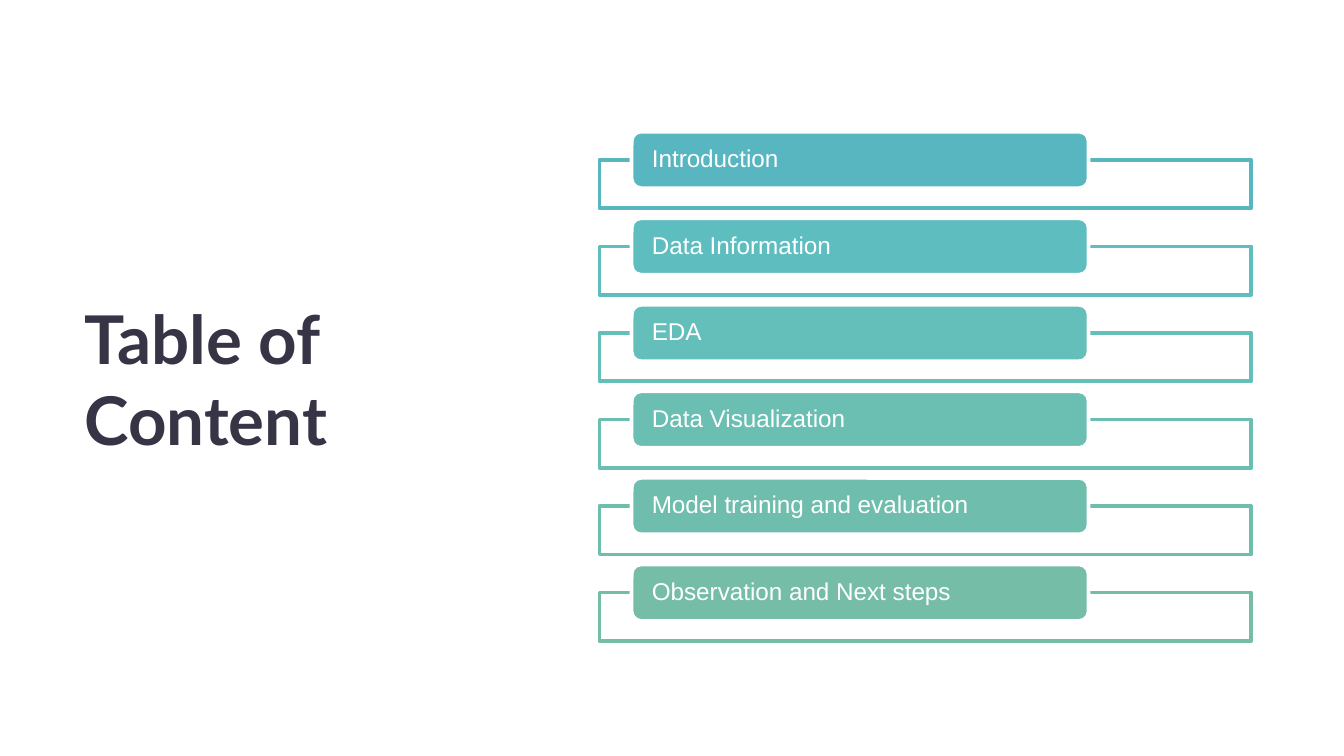
from pptx import Presentation
from pptx.dml.color import RGBColor
from pptx.enum.shapes import MSO_SHAPE as Shape
from pptx.enum.text import MSO_ANCHOR as Anchor, PP_ALIGN as Align
from pptx.util import Inches, Pt

COLORS = {"title": "373545", "white": "FFFFFF"}
SECTIONS = {
    "Introduction": "58B6C0",
    "Data Information": "5EBEBF",
    "EDA": "64BEB9",
    "Data Visualization": "6ABEB2",
    "Model training and evaluation": "6FBDAC",
    "Observation and Next steps": "75BDA7",
}
FIRST_TOP, LAST_TOP = 0.98, 4.2
ROW_PITCH = (LAST_TOP - FIRST_TOP) / (len(SECTIONS) - 1)


def add_box(kind, left, top, width, height, fill, line):
    shape = slide.shapes.add_shape(
        kind, Inches(left), Inches(top), Inches(width), Inches(height))
    shape.shadow.inherit = False
    shape.fill.solid()
    shape.fill.fore_color.rgb = RGBColor.from_string(fill)
    shape.line.color.rgb = RGBColor.from_string(line)
    shape.line.width = Pt(2)
    return shape


def write(frame, text, font_name, size, color):
    frame.word_wrap = True
    frame.vertical_anchor = Anchor.MIDDLE
    paragraph = frame.paragraphs[0]
    paragraph.text = text
    paragraph.alignment = Align.LEFT
    paragraph.font.name = font_name
    paragraph.font.size = Pt(size)
    paragraph.font.color.rgb = RGBColor.from_string(color)
    return paragraph


presentation = Presentation()
presentation.slide_width = Inches(10)
presentation.slide_height = Inches(10 * 9 / 16)
slide = presentation.slides.add_slide(presentation.slide_layouts[6])

title = slide.shapes.add_textbox(Inches(0.53), Inches(0.9), Inches(3.11), Inches(3.83))
paragraph = write(title.text_frame, "Table of Content", "Lato", 36, COLORS["title"])
paragraph.font.bold = True
title.text_frame.margin_left = title.text_frame.margin_right = Inches(0.1)

for row, (section, color) in enumerate(SECTIONS.items()):
    top = FIRST_TOP + row * ROW_PITCH
    add_box(Shape.RECTANGLE, 4.46, top + 0.21, 4.85, 0.36, COLORS["white"], color)
    label = add_box(Shape.ROUNDED_RECTANGLE, 4.7, top, 3.4, 0.42, color, COLORS["white"])
    frame = label.text_frame
    frame.margin_left = frame.margin_right = Inches(0.13)
    frame.margin_top = frame.margin_bottom = 0
    paragraph = write(frame, section, "Arial", 13, COLORS["white"])
    paragraph.line_spacing = 0.9

presentation.save("out.pptx")
